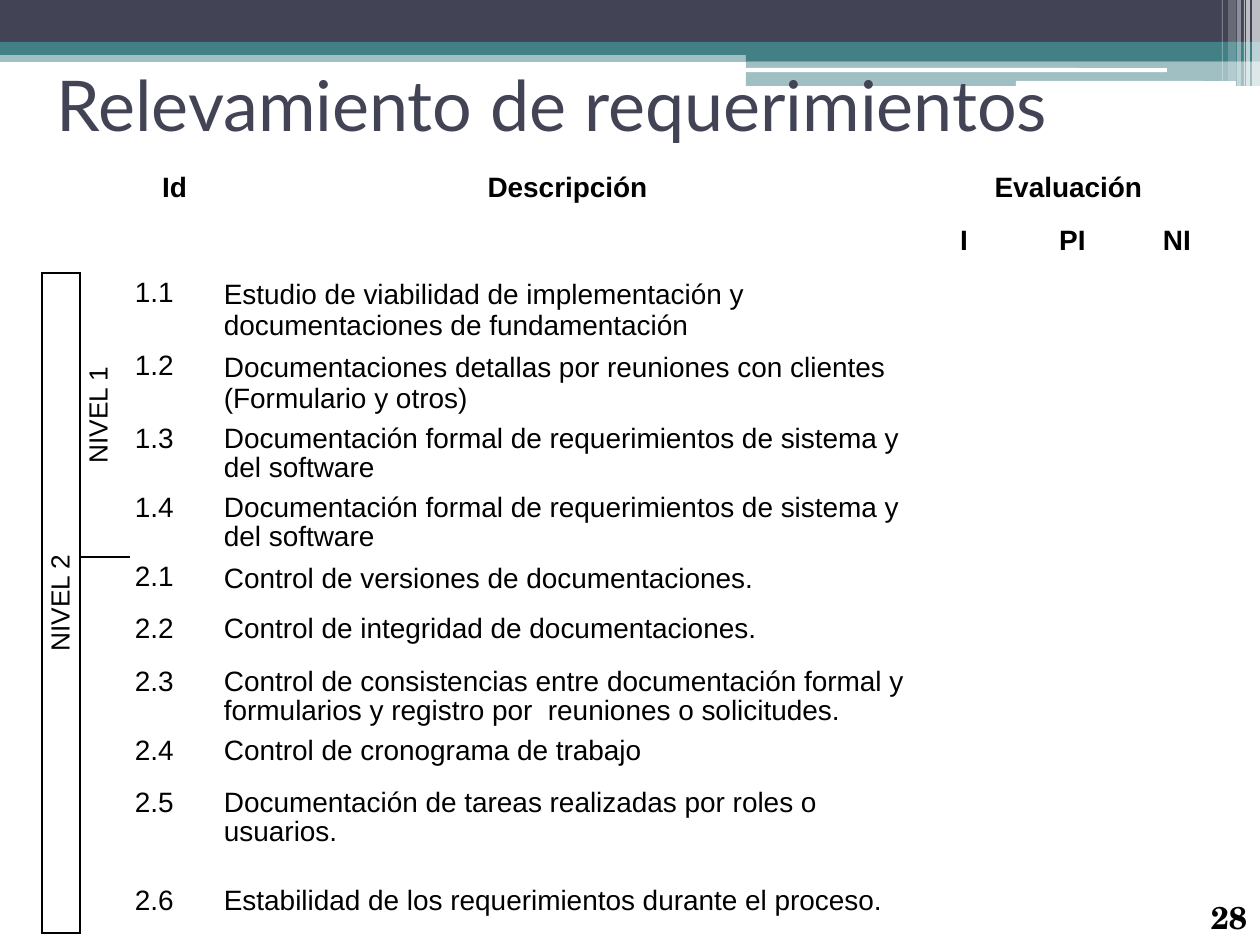
import pptx
import pptx.util
import pptx.dml.color
import pptx.enum.shapes
import pptx.enum.text
import pptx.oxml.ns
from lxml import etree

THEME = {
    "dark": "424456", "teal": "438086", "white": "FFFFFF", "ink": "000000",
    "sans": "Arial", "head": "Lato", "serif": "TeX Gyre Schola",
    "title": 40, "page": 18, "body": 16, "level": 15,
}

# Content
TITLE = "Relevamiento de requerimientos"
PAGE = "28"
# row, column, last row, last column, text
HEADS = [
    (0, 2, 1, 2, "Id"),
    (0, 3, 1, 3, "Descripción"),
    (0, 4, 0, 6, "Evaluación"),
    (1, 4, 1, 4, "I"),
    (1, 5, 1, 5, "PI"),
    (1, 6, 1, 6, "NI"),
]
LEVELS = [(2, 0, 11, 0, "NIVEL 2"), (2, 1, 5, 1, "NIVEL 1")]
# id, description, row height, line spacing
ITEMS = [
    ("1.1", "Estudio de viabilidad de implementación y documentaciones de fundamentación", 73, 1),
    ("1.2", "Documentaciones detallas por reuniones con clientes (Formulario y otros)", 73, 1),
    ("1.3", "Documentación formal de requerimientos de sistema y del software", 69, 0.93),
    ("1.4", "Documentación formal de requerimientos de sistema y del software", 69, 0.93),
    ("2.1", "Control de versiones de documentaciones.", 52, 1),
    ("2.2", "Control de integridad de documentaciones.", 53, 0.93),
    ("2.3", "Control de consistencias entre documentación formal y "
            "formularios y registro por  reuniones o solicitudes.", 69, 0.93),
    ("2.4", "Control de cronograma de trabajo", 52, 0.93),
    ("2.5", "Documentación de tareas realizadas por roles o usuarios.", 98, 0.93),
    ("2.6", "Estabilidad de los requerimientos durante el proceso.", 52, 0.93),
]
COLS = [38, 50, 89, 697, 96, 121, 88]
ROWS = [53, 52] + [item[2] for item in ITEMS]

# Header art: left, top, width, height, colour, opacity in percent
BANDS = [
    (0, 50, 1260, 12, "teal", 50),
    (0, 0, 1260, 42, "dark", 100),
    (0, 42, 1260, 13, "teal", 100),
    (746, 49, 514, 12, "teal", 100),
    (746, 61, 514, 25, "teal", 50),
]
PILLS = [(745, 68, 422, 4, "white", 100), (1016, 81, 220, 5, "white", 100)]
STRIPES = [
    (1252, 0, 8, 86, "white", 65),
    (1246, 0, 4, 86, "white", 65),
    (1244, 0, 1, 86, "white", 60),
    (1237, 0, 4, 86, "white", 40),
    (1228, 0, 8, 81, "white", 20),
    (1222, 0, 1, 81, "white", 30),
]


def px(n):
    return pptx.util.Emu(round(n * 914400 / 126))


def tint(name):
    return pptx.dml.color.RGBColor.from_string(THEME[name])


def style(para, size, face="sans", color="ink", bold=False):
    for run in para.runs:
        run.font.size = pptx.util.Pt(THEME[size])
        run.font.name = THEME[face]
        run.font.color.rgb = tint(color)
        run.font.bold = bold


def block(slide, kind, x, y, w, h, color, alpha):
    shape = slide.shapes.add_shape(kind, px(x), px(y), px(w), px(h))
    shape.shadow.inherit = False
    shape.fill.solid()
    shape.fill.fore_color.rgb = tint(color)
    shape.line.fill.background()
    if alpha < 100:
        tag = pptx.oxml.ns.qn("a:srgbClr")
        node = next(shape.fill._xPr.iter(tag))
        etree.SubElement(node, pptx.oxml.ns.qn("a:alpha"), val=str(alpha * 1000))


def label(slide, text, rect, pads, wrap, size, face, color, bold=False):
    box = slide.shapes.add_textbox(*map(px, rect))
    frame = box.text_frame
    frame.text = text
    frame.word_wrap = wrap
    (frame.margin_left, frame.margin_top,
     frame.margin_right, frame.margin_bottom) = map(px, pads)
    style(frame.paragraphs[0], size, face, color, bold)
    return frame


def edges(row, col):
    """Sides of a cell that carry a visible line."""
    if col == 0 and row >= 2:
        return "LR" + "T" * (row == 2) + "B" * (row in (2, 11))
    if (row, col) == (1, 0):
        return "B"
    if col == 1 and row >= 2:
        return "L" + "B" * (row in (2, 5)) + "T" * (row == 6)
    return ""


def border(cell, sides):
    props = cell._tc.get_or_add_tcPr()
    for i, side in enumerate("LRTB"):
        line = etree.Element(pptx.oxml.ns.qn("a:ln" + side), w="12700")
        if side in sides:
            fill = etree.SubElement(line, pptx.oxml.ns.qn("a:solidFill"))
            etree.SubElement(fill, pptx.oxml.ns.qn("a:srgbClr"), val=THEME["ink"])
        else:
            etree.SubElement(line, pptx.oxml.ns.qn("a:noFill"))
        props.insert(i, line)


def write(cell, text, size="body", bold=False, center=False, gap=0.93):
    cell.text = text
    para = cell.text_frame.paragraphs[0]
    if center:
        para.alignment = pptx.enum.text.PP_ALIGN.CENTER
    para.line_spacing = gap
    style(para, size, bold=bold)


def grid(slide):
    frame = slide.shapes.add_table(
        len(ROWS), len(COLS), px(42), px(168), px(sum(COLS)), px(sum(ROWS)))
    table = frame.table
    table.first_row = table.horz_banding = False
    for col, size in zip(table.columns, COLS):
        col.width = px(size)
    for row, size in zip(table.rows, ROWS):
        row.height = px(size)

    # Plain cells with their lines
    for r in range(len(ROWS)):
        for c in range(len(COLS)):
            cell = table.cell(r, c)
            cell.fill.background()
            cell.margin_left = cell.margin_right = px(5)
            cell.margin_top, cell.margin_bottom = px(6), px(0)
            border(cell, edges(r, c))

    # Headings and level labels
    for r, c, last, end, text in HEADS + LEVELS:
        cell = table.cell(r, c)
        if (r, c) != (last, end):
            cell.merge(table.cell(last, end))
        head = r < 2
        write(cell, text, "body" if head else "level", bold=head, center=True)
        if not head:
            cell.vertical_anchor = pptx.enum.text.MSO_ANCHOR.MIDDLE
            cell._tc.get_or_add_tcPr().set("vert", "vert270")

    # Requirements
    for r, (key, text, size, gap) in enumerate(ITEMS, 2):
        write(table.cell(r, 2), key)
        write(table.cell(r, 3), text, gap=gap)


def main():
    deck = pptx.Presentation()
    deck.slide_width, deck.slide_height = px(1260), px(945)
    slide = deck.slides.add_slide(deck.slide_layouts[6])

    # Header art
    kinds = pptx.enum.shapes.MSO_SHAPE
    for kind, parts in ((kinds.RECTANGLE, BANDS), (kinds.ROUNDED_RECTANGLE, PILLS),
                        (kinds.RECTANGLE, STRIPES)):
        for part in parts:
            block(slide, kind, *part)

    # Title, page number and table
    title = label(slide, TITLE, (46, 16, 1171, 175), (11, 5, 11, 6), True,
                  "title", "head", "dark")
    title.vertical_anchor = pptx.enum.text.MSO_ANCHOR.MIDDLE
    label(slide, PAGE, (1200, 890, 161, 54), (11, 8, 11, 5), False,
          "page", "serif", "ink", True)
    grid(slide)
    deck.save("out.pptx")


if __name__ == "__main__":
    main()
